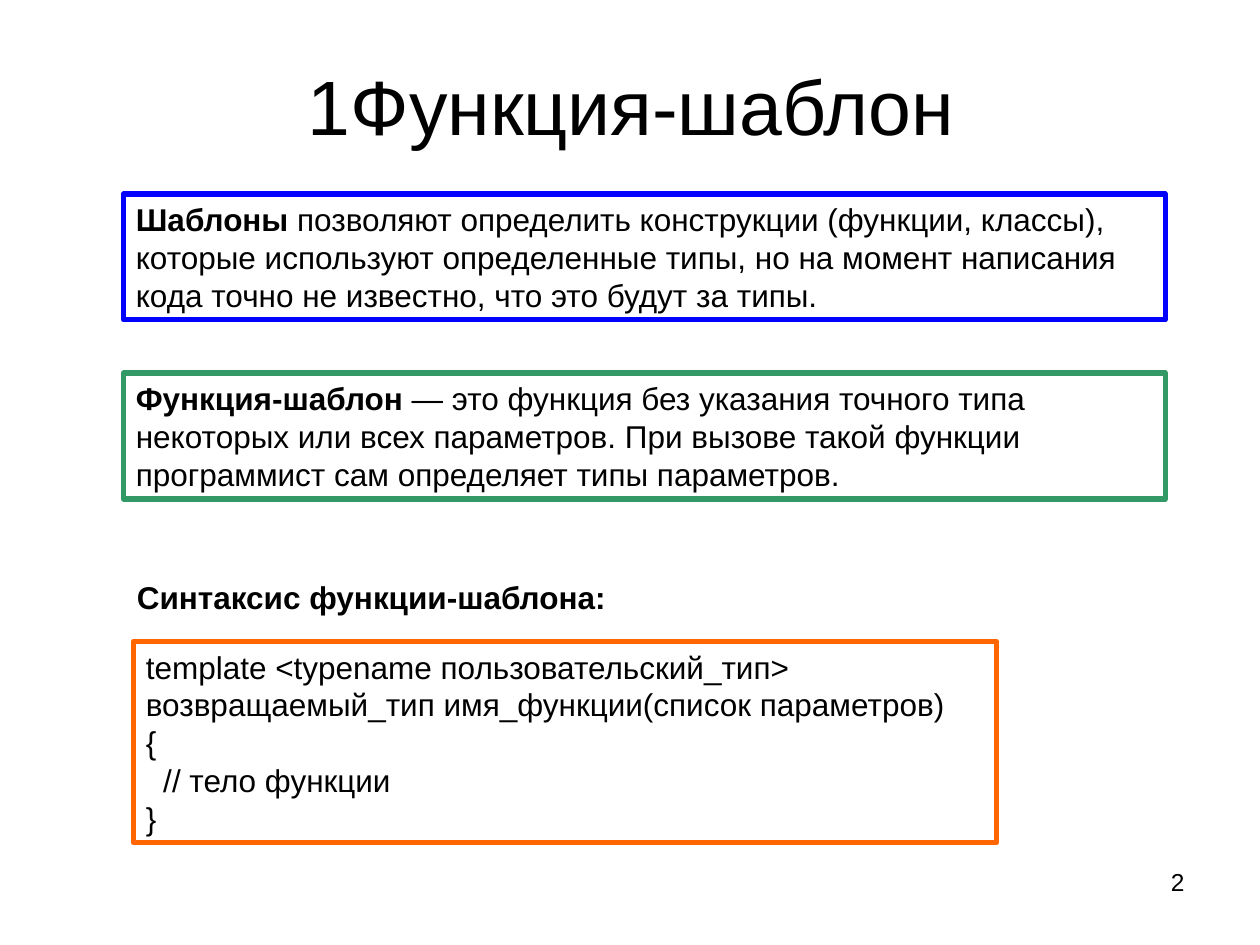
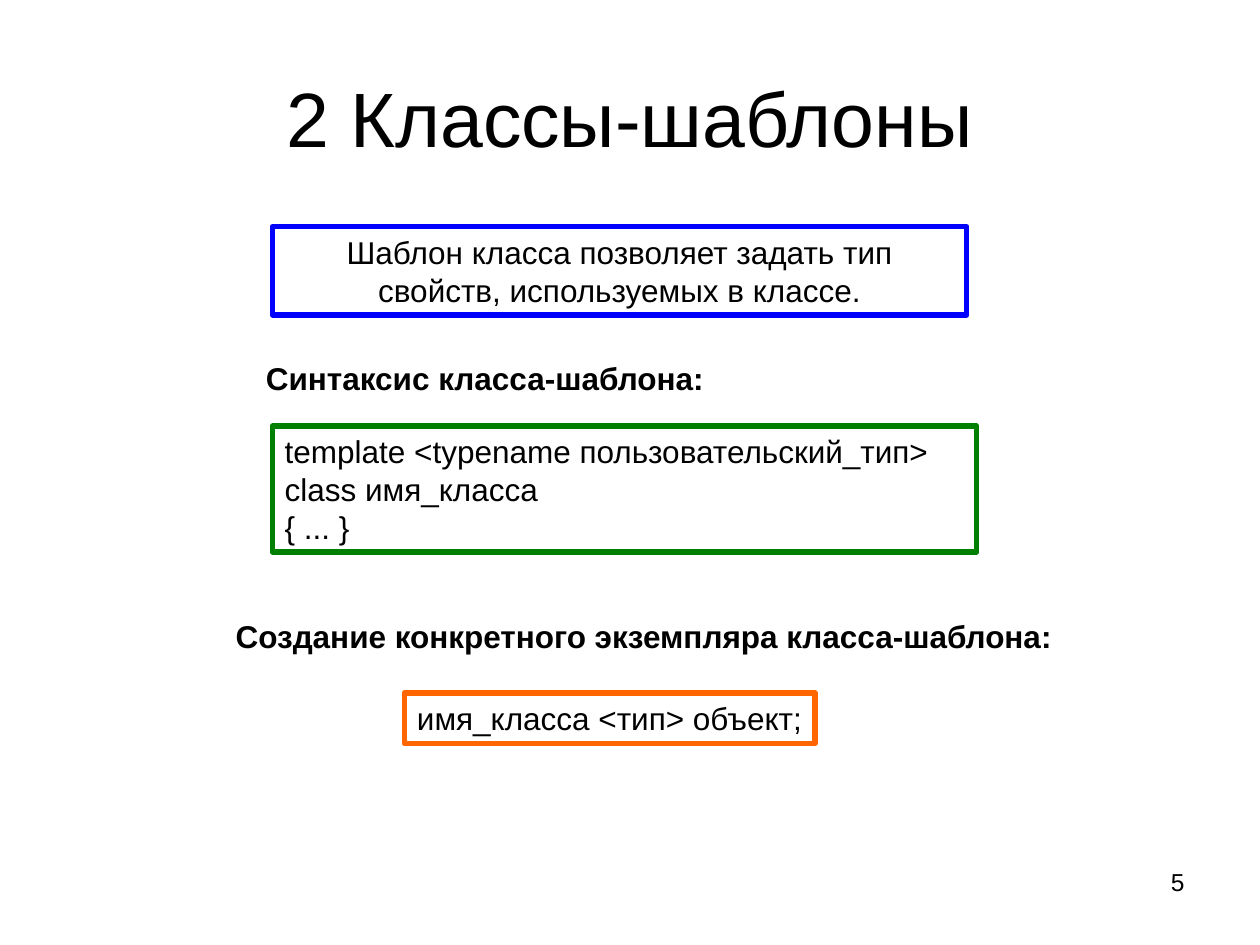
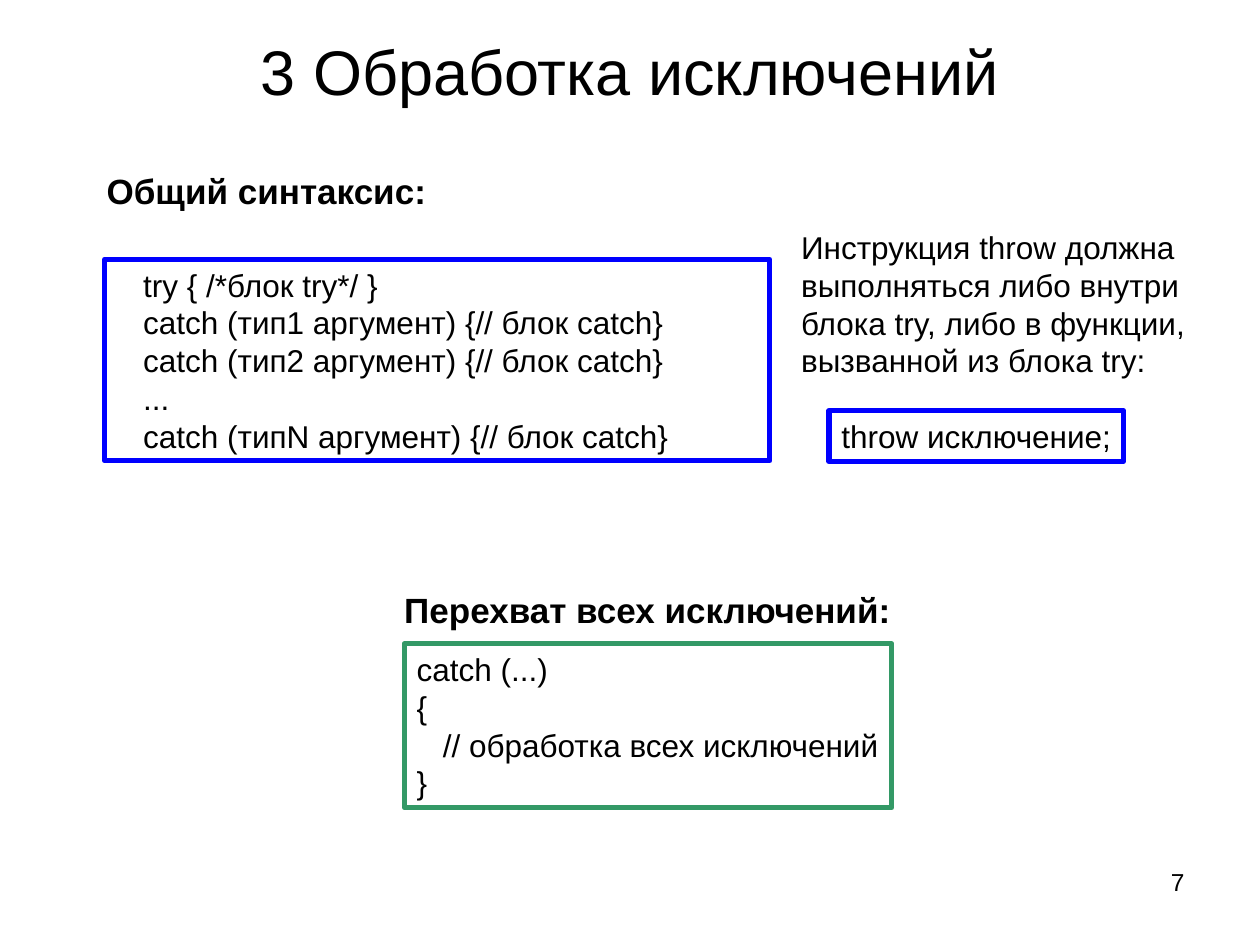
"""Build three lecture slides on templates and exception handling."""
import pptx
import pptx.dml.color
import pptx.enum.shapes
import pptx.enum.text
import pptx.util

Cm = pptx.util.Cm
Pt = pptx.util.Pt
ALIGN = pptx.enum.text.PP_ALIGN
ANCHOR = pptx.enum.text.MSO_ANCHOR
AUTO_SIZE = pptx.enum.text.MSO_AUTO_SIZE

COLOURS = {
    "text": "000000",
    "paper": "FFFFFF",
    "blue": "0000FF",
    "teal": "339966",
    "green": "008000",
    "orange": "FF6600",
}
FRAME_FORMAT = {
    "margin_left": Cm(0.25),
    "margin_right": Cm(0.25),
    "margin_top": Cm(0.13),
    "margin_bottom": Cm(0.13),
    "vertical_anchor": ANCHOR.MIDDLE,
    "word_wrap": True,
    "auto_size": AUTO_SIZE.SHAPE_TO_FIT_TEXT,
}
FONT_FORMAT = {"name": "Arial", "size": Pt(18), "bold": False}


def colour(key):
    """Return the named palette colour."""
    return pptx.dml.color.RGBColor.from_string(COLOURS[key])


def apply_format(target, values):
    """Set each attribute in values on target."""
    for attribute, value in values.items():
        setattr(target, attribute, value)


def add_run(paragraph, text, font):
    """Append a run in the shared font with the given changes."""
    run = paragraph.add_run()
    run.text = text
    apply_format(run.font, {**FONT_FORMAT, **font})
    run.font.color.rgb = colour("text")


def write(holder, text, term="", align=ALIGN.LEFT, font=None, frame=None):
    """Fill a shape with lines of text, led by an optional bold term."""
    font = font or {}
    apply_format(holder.text_frame, {**FRAME_FORMAT, **(frame or {})})
    for index, line in enumerate(text.split("\n")):
        paragraphs = holder.text_frame.paragraphs
        paragraph = holder.text_frame.add_paragraph() if index else paragraphs[0]
        paragraph.alignment = align
        if term and index == 0:
            add_run(paragraph, term, {**font, "bold": True})
        add_run(paragraph, line, font)


def add_label(slide, area, text, **style):
    """Add text without a border; area is left, top, width, height in cm."""
    write(slide.shapes.add_textbox(*map(Cm, area)), text, **style)


def add_heading(slide, area, text, size=18, wrap=False):
    """Add a bold heading above a block."""
    add_label(slide, area, text, font={"size": Pt(size), "bold": True},
              frame={"word_wrap": wrap})


def add_framed(slide, area, text, border, fill=None, wrap=True, **style):
    """Add a definition or code block with a coloured border."""
    block = slide.shapes.add_shape(
        pptx.enum.shapes.MSO_SHAPE.RECTANGLE, *map(Cm, area))
    block.shadow.inherit = False
    if fill:
        block.fill.solid()
        block.fill.fore_color.rgb = colour(fill)
    else:
        block.fill.background()
    block.line.color.rgb = colour(border)
    block.line.width = Pt(3)
    write(block, text, frame={"word_wrap": wrap}, **style)


def start_slide(deck, title, number, left=1.27, top=0.76, height=3.18, size=44):
    """Add a blank slide with its title and page number."""
    slide = deck.slides.add_slide(deck.slide_layouts[6])
    fixed = {"auto_size": AUTO_SIZE.NONE}
    add_label(slide, (left, top, 22.86, height), title, align=ALIGN.CENTER,
              font={"size": Pt(size)}, frame=fixed)
    add_label(slide, (18.21, 17.35, 5.92, 1.32), str(number), align=ALIGN.RIGHT,
              font={"size": Pt(14)},
              frame={**fixed, "vertical_anchor": ANCHOR.TOP})
    return slide


def build_function_templates(deck):
    """Build the slide on function templates."""
    slide = start_slide(deck, "1Функция-шаблон", 2, left=1.3, top=0.53)
    add_framed(slide, (2.49, 7.52, 21, 2.54),
               " — это функция без указания точного типа некоторых или всех "
               "параметров. При вызове такой функции программист сам "
               "определяет типы параметров.",
               "teal", fill="paper", term="Функция-шаблон")
    add_heading(slide, (2.51, 11.53, 10.16, 1.02), "Синтаксис функции-шаблона:")
    add_framed(slide, (2.69, 12.93, 17.4, 4.06),
               "template <typename пользовательский_тип>\n"
               "возвращаемый_тип имя_функции(список параметров)\n"
               "{\n"
               "  // тело функции\n"
               "}", "orange")
    add_framed(slide, (2.49, 3.91, 21, 2.54),
               " позволяют определить конструкции (функции, классы), которые "
               "используют определенные типы, но на момент написания кода "
               "точно не известно, что это будут за типы.",
               "blue", term="Шаблоны")


def build_class_templates(deck):
    """Build the slide on class templates."""
    slide = start_slide(deck, "2 Классы-шаблоны", 5)
    add_framed(slide, (5.49, 8.59, 14.2, 2.54),
               "template <typename пользовательский_тип>\n"
               "class имя_класса\n"
               "{ ... }", "green")
    add_framed(slide, (5.49, 4.57, 14, 1.78),
               "Шаблон класса позволяет задать тип свойств, используемых "
               "в классе.", "blue", align=ALIGN.CENTER)
    add_heading(slide, (4.5, 12.32, 17.02, 1.02),
                "Создание конкретного экземпляра класса-шаблона:")
    add_framed(slide, (8.15, 13.97, 8.28, 1.02), "имя_класса <тип> объект;",
               "orange", wrap=False, align=ALIGN.CENTER)
    add_heading(slide, (5.11, 7.11, 9.52, 1.02), "Синтаксис класса-шаблона:")


def build_exceptions(deck):
    """Build the slide on exception handling."""
    slide = start_slide(deck, "3 Обработка исключений", 7,
                        top=0.33, height=2.16, size=36)
    add_framed(slide, (2.11, 5.23, 13.41, 4.06),
               "   try { /*блок try*/ }\n"
               "   catch (тип1 аргумент) {// блок catch}\n"
               "   catch (тип2 аргумент) {// блок catch}\n"
               "   ...\n"
               "   catch (типN аргумент) {// блок catch}", "blue")
    add_label(slide, (15.9, 4.47, 8.99, 3.3),
              "Инструкция throw должна выполняться либо внутри блока try, "
              "либо в функции, вызванной из блока try:")
    add_framed(slide, (16.71, 8.28, 5.94, 1.02), "throw исключение;",
               "blue", wrap=False, align=ALIGN.CENTER)
    add_heading(slide, (1.9, 3.28, 8.41, 1.12), "Общий синтаксис:",
                size=20, wrap=True)
    add_heading(slide, (7.9, 11.73, 10.36, 1.12), "Перехват всех исключений:",
                size=20)
    add_framed(slide, (8.15, 12.98, 9.83, 3.3),
               "catch (...)\n"
               "{\n"
               "   // обработка всех исключений\n"
               "}", "teal", wrap=False)


def main():
    """Create the deck and save it."""
    deck = pptx.Presentation()
    apply_format(deck, {"slide_width": Cm(25.4), "slide_height": Cm(19.05)})
    build_function_templates(deck)
    build_class_templates(deck)
    build_exceptions(deck)
    deck.save("out.pptx")


if __name__ == "__main__":
    main()
